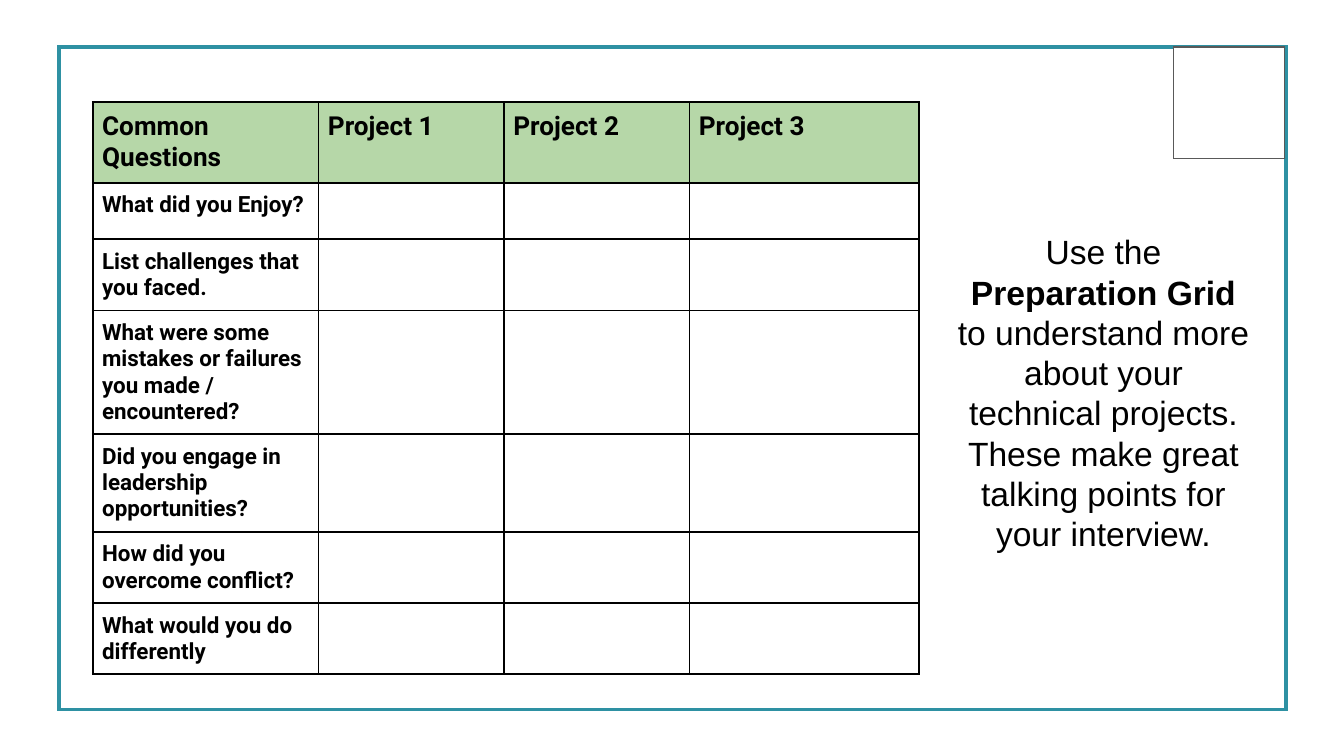
from pptx import Presentation
from pptx.dml.color import RGBColor
from pptx.enum import shapes, text
from pptx.oxml import parse_xml
from pptx.oxml.ns import nsdecls
from pptx.util import Inches, Pt

WIDE = 10
HIGH = WIDE * 9 / 16
HEADS = ["Common Questions", "Project 1", "Project 2", "Project 3"]
ASKS = [
    "What did you Enjoy?",
    "List challenges that you faced.",
    "What were some mistakes or failures you made / encountered?",
    "Did you engage in leadership opportunities?",
    "How did you overcome conflict?",
    "What would you do differently",
]
COLS = [1.68, 1.38, 1.38, 1.71]
ROWS = [0.6, 0.42, 0.53, 0.92, 0.72, 0.53, 0.53]


def color(code):
    return RGBColor.from_string(code)


def write(para, words, size=12, bold=False, font="Roboto", hue="000000"):
    run = para.add_run()
    run.text = words
    run.font.size = Pt(size)
    run.font.bold = bold
    run.font.name = font
    run.font.color.rgb = color(hue)


def frame(slide, box, line, width, fill=None):
    rect = slide.shapes.add_shape(shapes.MSO_SHAPE.RECTANGLE, *map(Inches, box))
    rect.shadow.inherit = False
    if fill:
        rect.fill.solid()
        rect.fill.fore_color.rgb = color(fill)
    else:
        rect.fill.background()
    rect.line.color.rgb = color(line)
    rect.line.width = Pt(width)
    # Square corners
    rect.line._get_or_add_ln().append(
        parse_xml(f'<a:miter {nsdecls("a")} lim="800000"/>'))


def edge(cell, hue="000000", width=1):
    props = cell._tc.get_or_add_tcPr()
    for spot, side in enumerate(("lnL", "lnR", "lnT", "lnB")):
        props.insert(spot, parse_xml(
            f'<a:{side} {nsdecls("a")} w="{Pt(width)}"><a:solidFill>'
            f'<a:srgbClr val="{hue}"/></a:solidFill></a:{side}>'))


def grid(slide, left, top):
    size = Inches(sum(COLS)), Inches(sum(ROWS))
    table = slide.shapes.add_table(
        len(ROWS), len(COLS), Inches(left), Inches(top), *size).table
    for col, width in zip(table.columns, COLS):
        col.width = Inches(width)
    for row, height in zip(table.rows, ROWS):
        row.height = Inches(height)

    # Heading row, then one question per row with blank answers
    blank = [""] * (len(COLS) - 1)
    lines = [HEADS] + [[ask] + blank for ask in ASKS]
    for r, line in enumerate(lines):
        for c, words in enumerate(line):
            cell = table.cell(r, c)
            cell.margin_left = cell.margin_right = Inches(0.07)
            cell.margin_top = cell.margin_bottom = Inches(0.07)
            if r == 0:
                cell.fill.solid()
                cell.fill.fore_color.rgb = color("B6D7A8")
            else:
                cell.fill.background()
            para = cell.text_frame.paragraphs[0]
            if words:
                write(para, words, size=12 if r else 14, bold=True)
            else:
                para.font.size = Pt(12)
            edge(cell)


def advice(slide, box):
    body = slide.shapes.add_textbox(*map(Inches, box)).text_frame
    body.word_wrap = True
    body.vertical_anchor = text.MSO_ANCHOR.TOP
    body.margin_left = body.margin_right = Inches(0.1)
    body.margin_top = body.margin_bottom = Inches(0.1)
    para = body.paragraphs[0]
    para.alignment = text.PP_ALIGN.CENTER
    write(para, "Use the ", size=18, font="Arial")
    write(para, "Preparation Grid ", size=18, font="Arial", bold=True)
    write(para, "to understand more about your technical projects. "
          "These make great talking points for your interview.",
          size=18, font="Arial")


def main():
    deck = Presentation()
    deck.slide_width, deck.slide_height = Inches(WIDE), Inches(HIGH)
    slide = deck.slides.add_slide(deck.slide_layouts[6])

    # Border and corner square
    frame(slide, (0.44, 0.35, 9.13, 4.93), "2E91A3", 2)
    frame(slide, (8.73, 0.35, 0.83, 0.83), "595959", 0.75, fill="FFFFFF")

    # Preparation grid and advice beside it
    grid(slide, 0.69, 0.76)
    advice(slide, (7, 1.62, 2.42, 3.24))
    deck.save("out.pptx")


if __name__ == "__main__":
    main()
